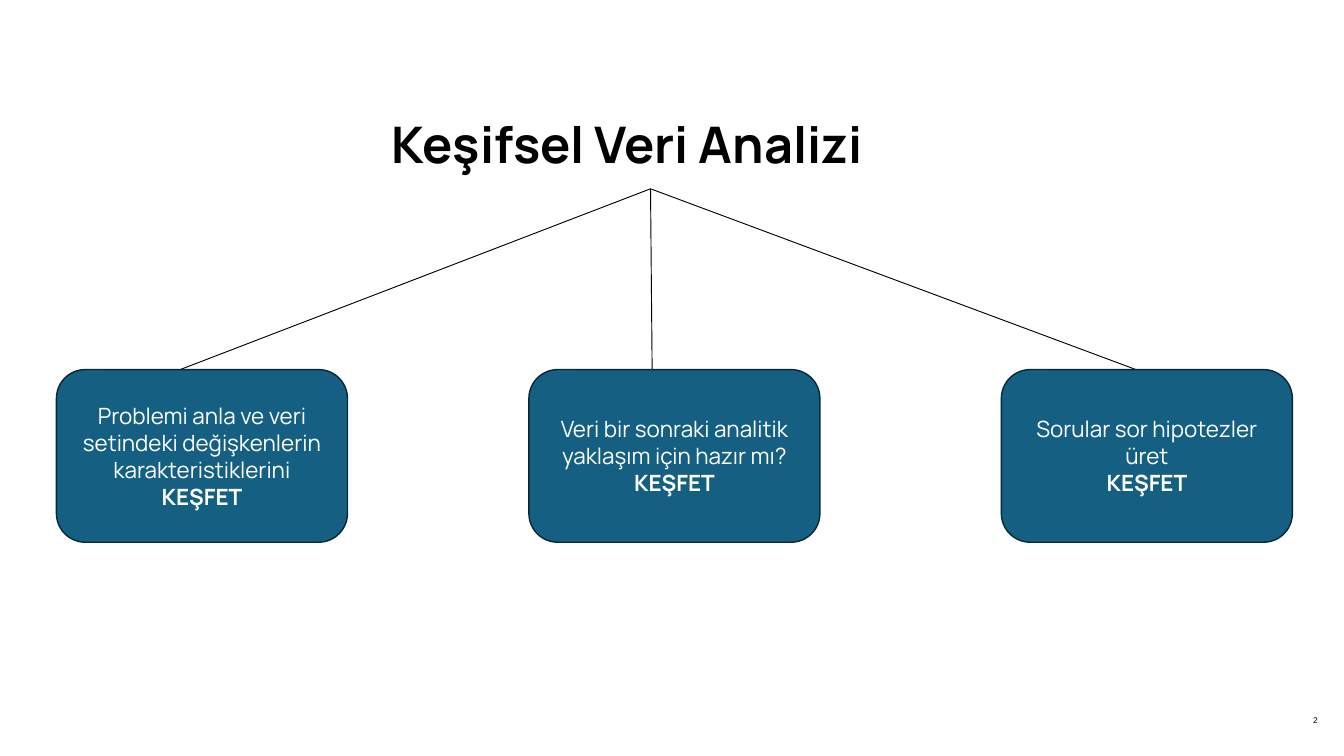
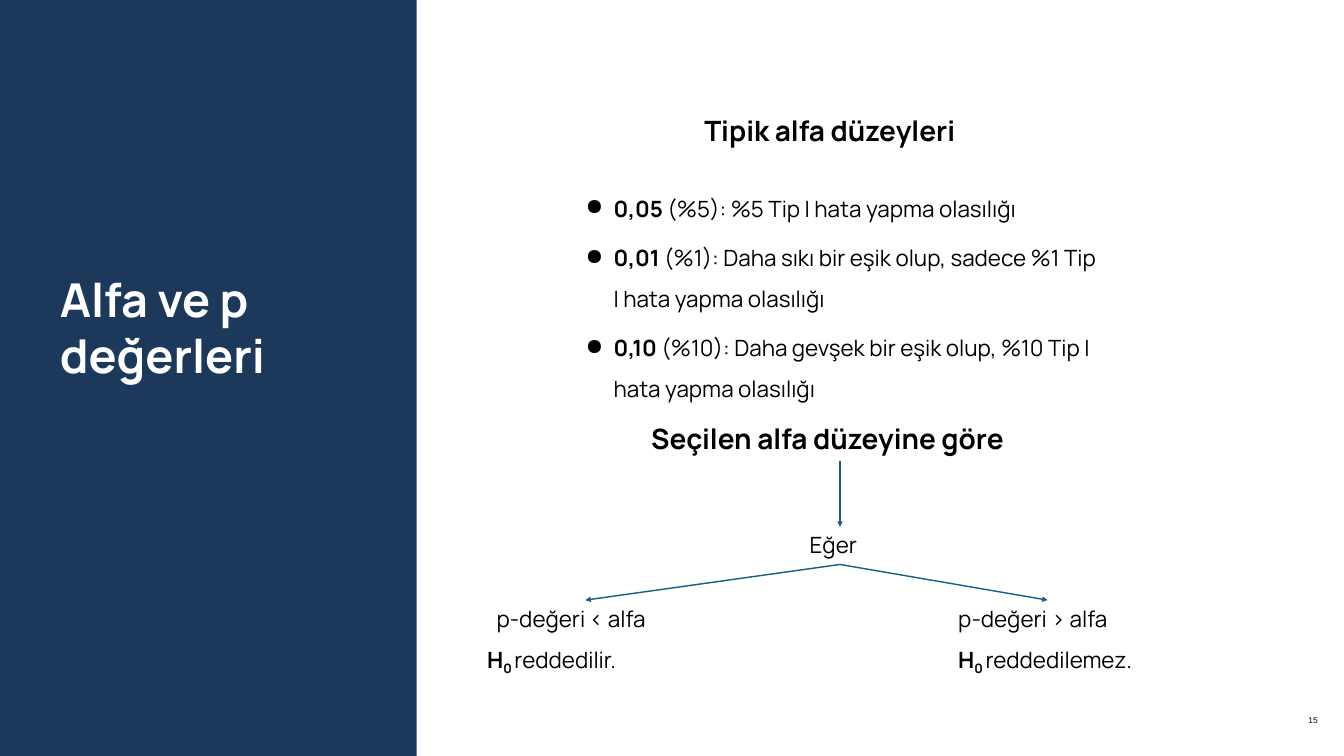
from pptx import Presentation
from pptx import util as u
from pptx.dml.color import RGBColor
from pptx.enum import shapes, text
from pptx.oxml.ns import qn
from lxml import etree

Pt = u.Pt
FONT = "Manrope"
BLACK, WHITE = "000000", "FFFFFF"
TEAL, TEAL_DARK, NAVY = "156082", "082836", "1C395C"
WIDE_INSETS = (14.4, 14.4)
TEXT_INSETS = (10.8, 5.04)
LEFT, CENTER, RIGHT = text.PP_ALIGN.LEFT, text.PP_ALIGN.CENTER, text.PP_ALIGN.RIGHT
TOP, MIDDLE = text.MSO_ANCHOR.TOP, text.MSO_ANCHOR.MIDDLE


def color(hex_value):
    return RGBColor.from_string(hex_value)


def add_span(para, words, size=24, bold=False, ink=BLACK, font=FONT, subscript=False):
    span = para.add_run()
    span.text = words
    span.font.name = font
    span.font.size = Pt(size)
    span.font.bold = bold
    span.font.color.rgb = color(ink)
    if subscript:
        span._r.get_or_add_rPr().set("baseline", "-25000")


def set_frame(shape, insets=TEXT_INSETS, anchor=TOP):
    frame = shape.text_frame
    frame.word_wrap = True
    frame.auto_size = text.MSO_AUTO_SIZE.NONE
    frame.vertical_anchor = anchor
    frame.margin_left = frame.margin_right = Pt(insets[0])
    frame.margin_top = frame.margin_bottom = Pt(insets[1])
    return frame


def add_text(slide, place, spans, align=LEFT, insets=TEXT_INSETS, anchor=TOP):
    """One paragraph; spans holds (words, options) pairs."""
    box = slide.shapes.add_textbox(*map(Pt, place))
    para = set_frame(box, insets, anchor).paragraphs[0]
    para.alignment = align
    for words, options in spans:
        add_span(para, words, **options)


def add_slide(deck, number, title, place, size, ink):
    slide = deck.slides.add_slide(deck.slide_layouts[5])
    box = slide.shapes.title
    box.left, box.top, box.width, box.height = map(Pt, place)
    para = set_frame(box, WIDE_INSETS).paragraphs[0]
    para.alignment = LEFT
    add_span(para, title, size, True, ink)
    add_text(slide, (1339.9, 740.2, 86.4, 61.9),
             [(number, {"size": 9, "font": "Arial"})], RIGHT, WIDE_INSETS, MIDDLE)
    return slide


def add_block(slide, kind, place, fill, outline=None):
    block = slide.shapes.add_shape(kind, *map(Pt, place))
    block.shadow.inherit = False
    block.fill.solid()
    block.fill.fore_color.rgb = color(fill)
    if outline:
        block.line.color.rgb = color(outline)
        block.line.width = Pt(1.5)
    else:
        block.line.fill.background()
    return block


def add_line(slide, start, end, ink, width, arrow=False):
    line = slide.shapes.add_connector(shapes.MSO_CONNECTOR.STRAIGHT, *map(Pt, start + end))
    line.line.color.rgb = color(ink)
    line.line.width = Pt(width)
    if arrow:
        etree.SubElement(line.line._get_or_add_ln(), qn("a:tailEnd"), type="triangle")
    etree.SubElement(line._element.spPr, qn("a:effectLst"))


def add_bullets(slide, place, items):
    frame = set_frame(slide.shapes.add_textbox(*map(Pt, place)))
    for index, (level, meaning) in enumerate(items):
        para = frame.add_paragraph() if index else frame.paragraphs[0]
        props = para._p.get_or_add_pPr()
        props.set("marL", str(Pt(36)))
        props.set("indent", str(Pt(-30)))
        bullet_color = etree.SubElement(props, qn("a:buClr"))
        etree.SubElement(bullet_color, qn("a:srgbClr"), val=BLACK)
        etree.SubElement(props, qn("a:buChar"), char="●")
        para.line_spacing = 1.5
        para.space_before = Pt(10 if index else 0)
        add_span(para, level, bold=True)
        add_span(para, meaning)


def build_exploration(deck):
    slide = add_slide(deck, "2", "Keşifsel Veri Analizi", (405.4, 107.3, 583.2, 94.3), 54, BLACK)

    # Branches from the title to the goals
    for end in ((193, 396), (699.1, 436.3), (1219, 396.7)):
        add_line(slide, (697, 202.3), end, BLACK, 1)

    # Goals
    goals = ("Problemi anla ve veri setindeki değişkenlerin karakteristiklerini",
             "Veri bir sonraki analitik yaklaşım için hazır mı?",
             "Sorular sor hipotezler üret")
    for index, goal in enumerate(goals):
        box = add_block(slide, shapes.MSO_SHAPE.ROUNDED_RECTANGLE,
                        (60.5 + 506.2 * index, 396, 311.8, 185), TEAL, TEAL_DARK)
        frame = set_frame(box, anchor=MIDDLE)
        for para, words, bold in ((frame.paragraphs[0], goal, False),
                                  (frame.add_paragraph(), "KEŞFET", True)):
            para.alignment = CENTER
            add_span(para, words, bold=bold, ink=WHITE)


def build_alpha(deck):
    slide = add_slide(deck, "15", "Alfa ve p değerleri", (49.7, 275.8, 395.3, 150.5), 50, WHITE)

    # Side band, behind the title
    band = add_block(slide, shapes.MSO_SHAPE.RECTANGLE, (0, -2.9, 446.4, 822.2), NAVY)
    slide.shapes.title._element.addprevious(band._element)

    # Headings and alpha levels
    heading = {"size": 30, "bold": True}
    add_text(slide, (743.8, 116.6, 312.5, 47.5), [("Tipik alfa düzeyleri", heading)])
    add_bullets(slide, (610.6, 189.4, 578.2, 234.7), (
        ("0,05", " (%5): %5 Tip I hata yapma olasılığı"),
        ("0,01", " (%1): Daha sıkı bir eşik olup, sadece %1 Tip I hata yapma olasılığı"),
        ("0,10", " (%10): Daha gevşek bir eşik olup, %10 Tip I hata yapma olasılığı")))
    add_text(slide, (686.9, 447.1, 424.8, 47.5), [("Seçilen alfa düzeyine göre", heading)])

    # Decision tree
    add_line(slide, (900, 493.9), (900, 564.5), TEAL, 1.5, arrow=True)
    add_text(slide, (856.8, 564.5, 86.4, 40.3), [("Eğer", {})])
    branches = ((627.1, 521.3, "p-değeri < alfa", 511.2, "reddedilir."),
                (1122.5, 1015.9, "p-değeri > alfa", 1015.9, "reddedilemez."))
    for tip, condition_left, condition, outcome_left, outcome in branches:
        add_line(slide, (900, 604.8), (tip, 643), TEAL, 1.5, arrow=True)
        add_text(slide, (condition_left, 643, 213.1, 40.3), [(condition, {})])
        add_text(slide, (outcome_left, 686.9, 324, 40.3),
                 [("H", {"bold": True}), ("0 ", {"bold": True, "subscript": True}), (outcome, {})])


def main():
    deck = Presentation()
    deck.slide_width, deck.slide_height = Pt(1440), Pt(810)
    build_exploration(deck)
    build_alpha(deck)
    deck.save("out.pptx")


if __name__ == "__main__":
    main()
